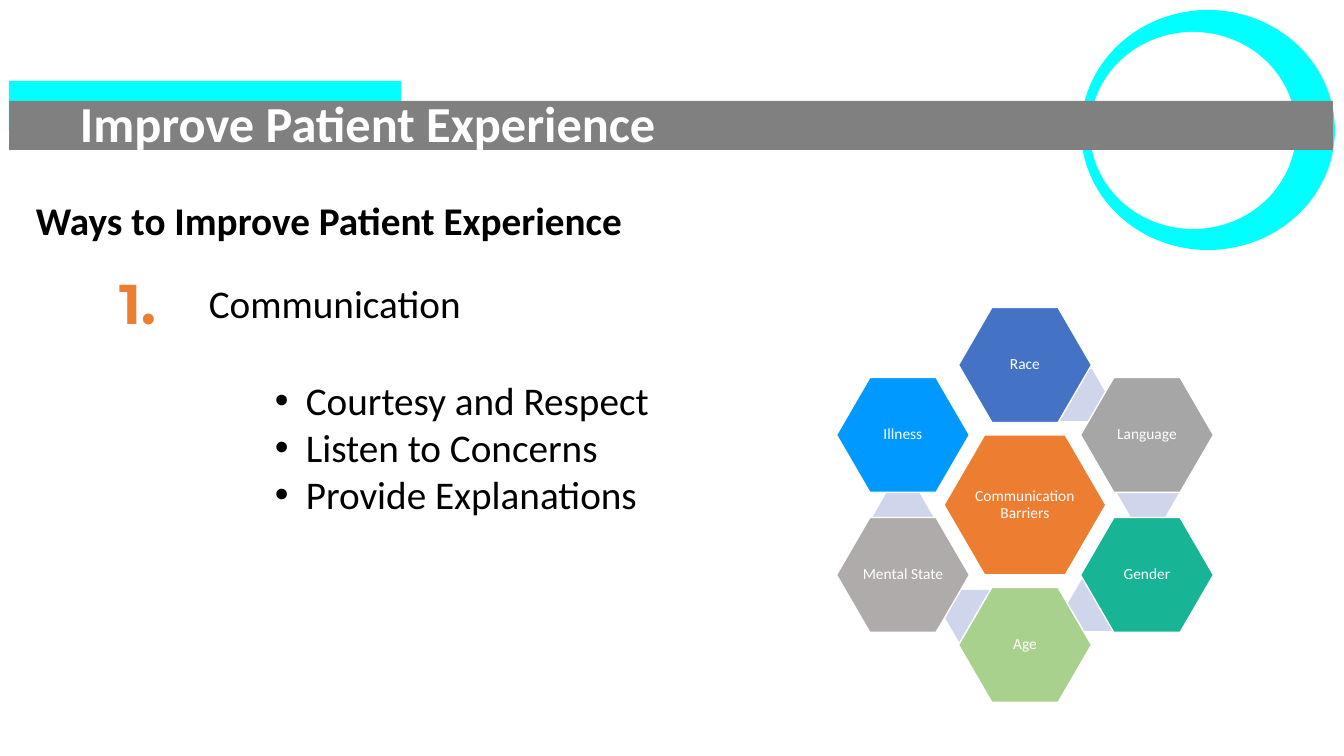
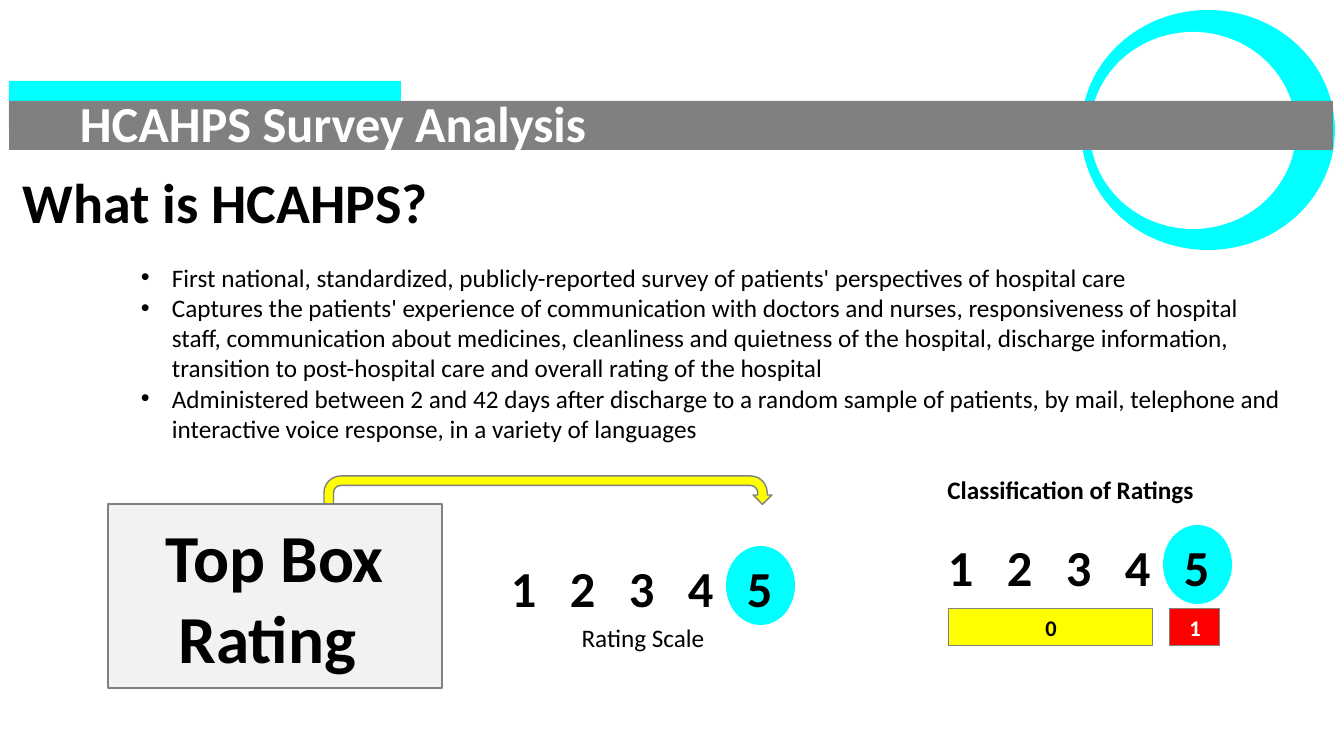
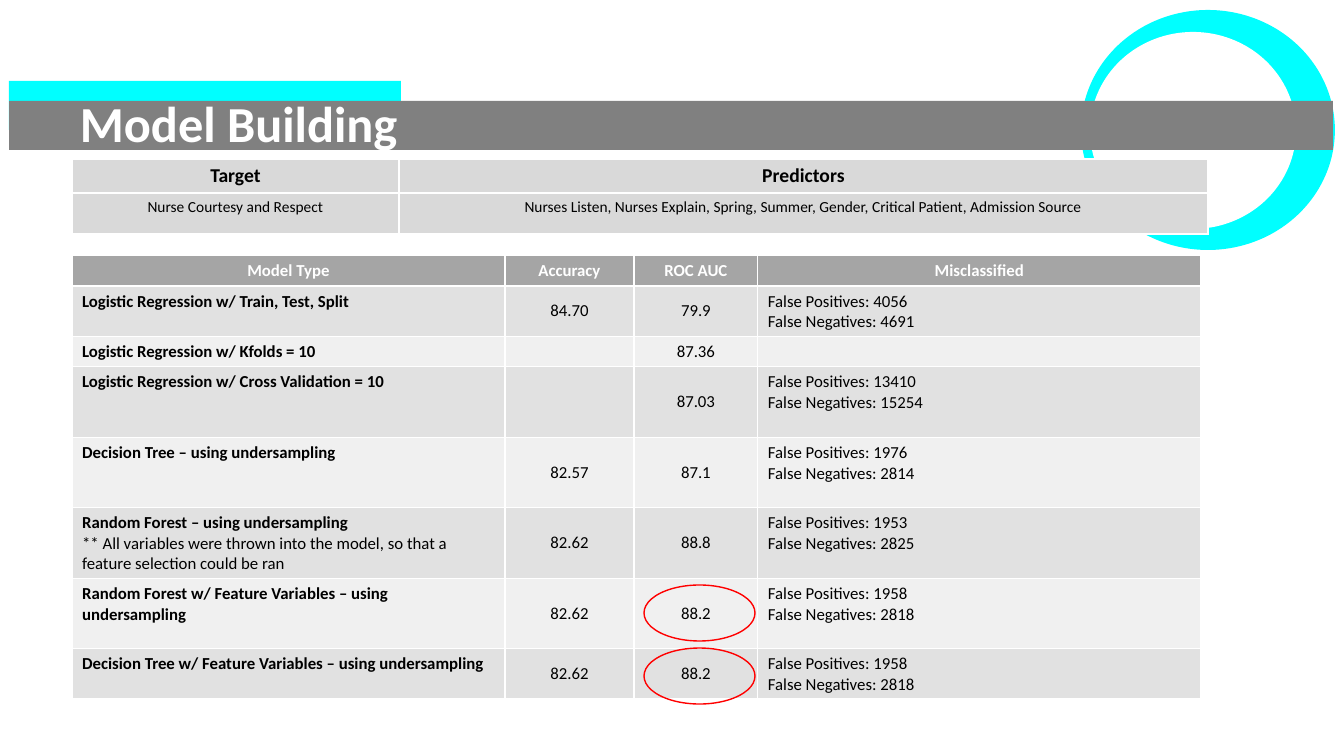
from lxml.etree import SubElement
from pptx import Presentation
from pptx.dml.color import RGBColor
from pptx.enum.shapes import MSO_SHAPE as Kind
from pptx.enum.text import MSO_ANCHOR as Anchor, PP_ALIGN as Align
from pptx.oxml.ns import qn
from pptx.util import Emu, Pt

PX = 914400 / 100.8
FONT = "Calibri"

BLACK = RGBColor(0x00, 0x00, 0x00)
WHITE = RGBColor(0xFF, 0xFF, 0xFF)
CYAN = RGBColor(0x00, 0xFF, 0xFF)
GRAY = RGBColor(0x80, 0x80, 0x80)
ORANGE = RGBColor(0xED, 0x7D, 0x31)
YELLOW = RGBColor(0xFF, 0xFF, 0x00)
RED = RGBColor(0xFF, 0x00, 0x00)
PANEL = RGBColor(0xF2, 0xF2, 0xF2)
LAVENDER = RGBColor(0xCF, 0xD5, 0xEA)
BLUE = RGBColor(0x44, 0x72, 0xC4)
SILVER = RGBColor(0xA6, 0xA6, 0xA6)
TEAL = RGBColor(0x18, 0xB4, 0x96)
GREEN = RGBColor(0xA9, 0xD1, 0x8E)
WARM_GRAY = RGBColor(0xAF, 0xAB, 0xAB)
SKY = RGBColor(0x00, 0x99, 0xFF)
HEADER = RGBColor(0xA5, 0xA5, 0xA5)
BAND_DARK = RGBColor(0xE1, 0xE1, 0xE1)
BAND_LIGHT = RGBColor(0xF0, 0xF0, 0xF0)
PREDICTOR_FILL = RGBColor(0xD9, 0xD9, 0xD9)


def draw(page, kind, box, fill=None, line=None, width=1):
    """Add a preset shape, or a text box when kind is None; box is in px."""
    place = [Emu(round(value * PX)) for value in box]
    if kind is None:
        shape = page.shapes.add_textbox(*place)
        shape.text_frame.word_wrap = True
        return shape
    shape = page.shapes.add_shape(kind, *place)
    shape.shadow.inherit = False
    if fill is None:
        shape.fill.background()
    else:
        shape.fill.solid()
        shape.fill.fore_color.rgb = fill
    if line is None:
        shape.line.fill.background()
    else:
        shape.line.color.rgb = line
        shape.line.width = Pt(width)
    return shape


def write(frame, text, size, color=BLACK, bold=False, align=Align.LEFT, font=FONT, bullet=False):
    """Fill a text frame, one paragraph for each line of text."""
    frame.text = text
    for para in frame.paragraphs:
        para.alignment = align
        if bullet:
            props = para._p.get_or_add_pPr()
            props.set("marL", str(round(31 * PX)))
            props.set("indent", str(round(-31 * PX)))
            SubElement(props, qn("a:buFont"), typeface="Arial")
            SubElement(props, qn("a:buChar"), char="•")
        for span in para.runs:
            span.font.name = font
            span.font.size = Pt(size)
            span.font.bold = bold
            span.font.color.rgb = color
        if not para.runs:
            SubElement(para._p, qn("a:endParaRPr"), sz=str(size * 100))


deck = Presentation()
deck.slide_width = Emu(round(1344 * PX))
deck.slide_height = Emu(round(756 * PX))

# Frame shared by all slides
pages = []
for title in ("Improve Patient Experience", "HCAHPS Survey Analysis", "Model Building"):
    page = deck.slides.add_slide(deck.slide_layouts[6])
    draw(page, Kind.FLOWCHART_CONNECTOR, (1081, 10, 254, 240), CYAN)
    draw(page, Kind.FLOWCHART_CONNECTOR, (1090, 32, 206, 197), WHITE)
    draw(page, Kind.RECTANGLE, (9, 81, 392, 49), CYAN)
    draw(page, Kind.RECTANGLE, (9, 101, 1324, 49), GRAY)
    write(draw(page, None, (70, 87, 714, 72)).text_frame, title, 36, WHITE, True)
    pages.append(page)
experience, survey, models = pages

# Slide 1: communication
write(draw(experience, None, (26, 191, 751, 57)).text_frame,
      "Ways to Improve Patient Experience", 28, bold=True)
write(draw(experience, None, (199, 274, 297, 57)).text_frame, "Communication", 28)
write(draw(experience, None, (98, 264, 79, 78)).text_frame,
      "1.", 40, ORANGE, True, Align.CENTER, "Montserrat")

# Hexagons: label, fill, centre offset, size, offset of the link behind
CENTER_X, CENTER_Y = 1025, 505
HEXAGONS = [
    ("Communication Barriers", ORANGE, (0, 0), (162, 140), None),
    ("Race", BLUE, (0, -140), (133, 115), (51, -110)),
    ("Language", SILVER, (122, -70), (133, 115), (123, -12)),
    ("Gender", TEAL, (122, 70), (133, 115), (73, 100)),
    ("Age", GREEN, (0, 140), (133, 115), (-50, 111)),
    ("Mental State", WARM_GRAY, (-122, 70), (133, 115), (-122, 13)),
    ("Illness", SKY, (-122, -70), (133, 115), None),
]
for label, fill, (dx, dy), (width, height), link in HEXAGONS:
    if link:
        link_box = (CENTER_X + link[0] - 31, CENTER_Y + link[1] - 26, 62, 52)
        draw(experience, Kind.HEXAGON, link_box, LAVENDER).adjustments[0] = 0.29
    box = (CENTER_X + dx - width / 2, CENTER_Y + dy - height / 2, width, height)
    hexagon = draw(experience, Kind.HEXAGON, box, fill, WHITE)
    hexagon.adjustments[0] = 0.29
    frame = hexagon.text_frame
    frame.word_wrap = True
    frame.margin_left = frame.margin_right = Emu(round(2 * PX))
    frame.margin_top = frame.margin_bottom = Emu(round(2 * PX))
    write(frame, label, 11, WHITE, align=Align.CENTER)
    frame.paragraphs[0].line_spacing = 0.9

write(draw(experience, None, (265, 371, 482, 152)).text_frame,
      "Courtesy and Respect\nListen to Concerns\nProvide Explanations", 28, bullet=True)

# Slide 2: survey
draw(survey, Kind.U_TURN_ARROW, (324, 476, 448, 38), YELLOW, GRAY)
top_box = draw(survey, Kind.RECTANGLE, (108, 504, 334, 184), PANEL, GRAY)
write(top_box.text_frame, "Top Box Rating ", 48, bold=True, align=Align.CENTER)

for left, top in ((501, 552), (938, 531)):
    draw(survey, Kind.FLOWCHART_CONNECTOR, (left + 225, top - 6, 69, 79), CYAN)
    for index in range(5):
        digit = draw(survey, None, (left + 59 * index, top, 45, 72))
        write(digit.text_frame, str(index + 1), 36, bold=True)

for text, box, bold in (
    ("Rating Scale", (543, 617, 200, 40), False),
    ("Classification of Ratings", (909, 469, 323, 40), True),
):
    write(draw(survey, None, box).text_frame, text, 18, bold=bold, align=Align.CENTER)

for text, left, width, fill, color in (
    ("0", 949, 204, YELLOW, BLACK),
    ("1", 1170, 50, RED, WHITE),
):
    score = draw(survey, Kind.RECTANGLE, (left, 609, width, 37), fill, GRAY, 0.75)
    write(score.text_frame, text, 16, color, True, Align.CENTER)

write(draw(survey, None, (13, 163, 479, 78)).text_frame, "What is HCAHPS?", 40, bold=True)
FACTS = (
    "First national, standardized, publicly-reported survey of patients' perspectives of "
    "hospital care\n"
    "Captures the patients' experience of communication with doctors and nurses, "
    "responsiveness of hospital staff, communication about medicines, cleanliness and "
    "quietness of the hospital, discharge information, transition to post-hospital care "
    "and overall rating of the hospital\n"
    "Administered between 2 and 42 days after discharge to a random sample of patients, "
    "by mail, telephone and interactive voice response, in a variety of languages"
)
write(draw(survey, None, (131, 257, 1171, 194)).text_frame, FACTS, 18, bullet=True)

# Slide 3: tables
RESULTS = [
    ("Model Type", "Accuracy", "ROC AUC", "Misclassified"),
    ("Logistic Regression w/ Train, Test, Split", "84.70", "79.9",
     "False Positives: 4056\nFalse Negatives: 4691"),
    ("Logistic Regression w/ Kfolds = 10", "", "87.36", ""),
    ("Logistic Regression w/ Cross Validation = 10", "", "87.03",
     "False Positives: 13410\nFalse Negatives: 15254"),
    ("Decision Tree – using undersampling", "82.57", "87.1",
     "False Positives: 1976\nFalse Negatives: 2814"),
    ("Random Forest – using undersampling\n** All variables were thrown into the model, "
     "so that a feature selection could be ran", "82.62", "88.8",
     "False Positives: 1953\nFalse Negatives: 2825"),
    ("Random Forest w/ Feature Variables – using undersampling", "82.62", "88.2",
     "False Positives: 1958\nFalse Negatives: 2818"),
    ("Decision Tree w/ Feature Variables – using undersampling", "82.62", "88.2",
     "False Positives: 1958\nFalse Negatives: 2818"),
]
PREDICTORS = [
    ("Target", "Predictors"),
    ("Nurse Courtesy and Respect",
     "Nurses Listen, Nurses Explain, Spring, Summer, Gender, Critical Patient, "
     "Admission Source"),
]
TABLES = [
    (RESULTS, 255, (433, 129, 124, 443), (31, 50, 30, 71, 70, 71, 70, 50)),
    (PREDICTORS, 159, (327, 809), (34, 41)),
]
for rows, top, widths, heights in TABLES:
    place = [Emu(round(value * PX)) for value in (72, top, sum(widths), sum(heights))]
    table = models.shapes.add_table(len(rows), len(widths), *place).table
    for column, width in zip(table.columns, widths):
        column.width = Emu(round(width * PX))
    for r, (row, height) in enumerate(zip(rows, heights)):
        table.rows[r].height = Emu(round(height * PX))
        for c, text in enumerate(row):
            cell = table.cell(r, c)
            cell.fill.solid()
            if rows is PREDICTORS:
                cell.fill.fore_color.rgb = PREDICTOR_FILL
                write(cell.text_frame, text, 11 if r else 14, BLACK, r == 0, Align.CENTER)
                continue
            centered = r == 0 or c in (1, 2)
            cell.fill.fore_color.rgb = (BAND_DARK if r % 2 else BAND_LIGHT) if r else HEADER
            cell.vertical_anchor = Anchor.MIDDLE if centered else Anchor.TOP
            write(cell.text_frame, text, 12, BLACK if r else WHITE, r == 0 or c == 0,
                  Align.CENTER if centered else Align.LEFT)
            for note in cell.text_frame.paragraphs[1:]:
                note.runs[0].font.bold = False

for top in (585, 648):
    draw(models, Kind.OVAL, (644, top, 111, 56), line=RED)

deck.save("out.pptx")
